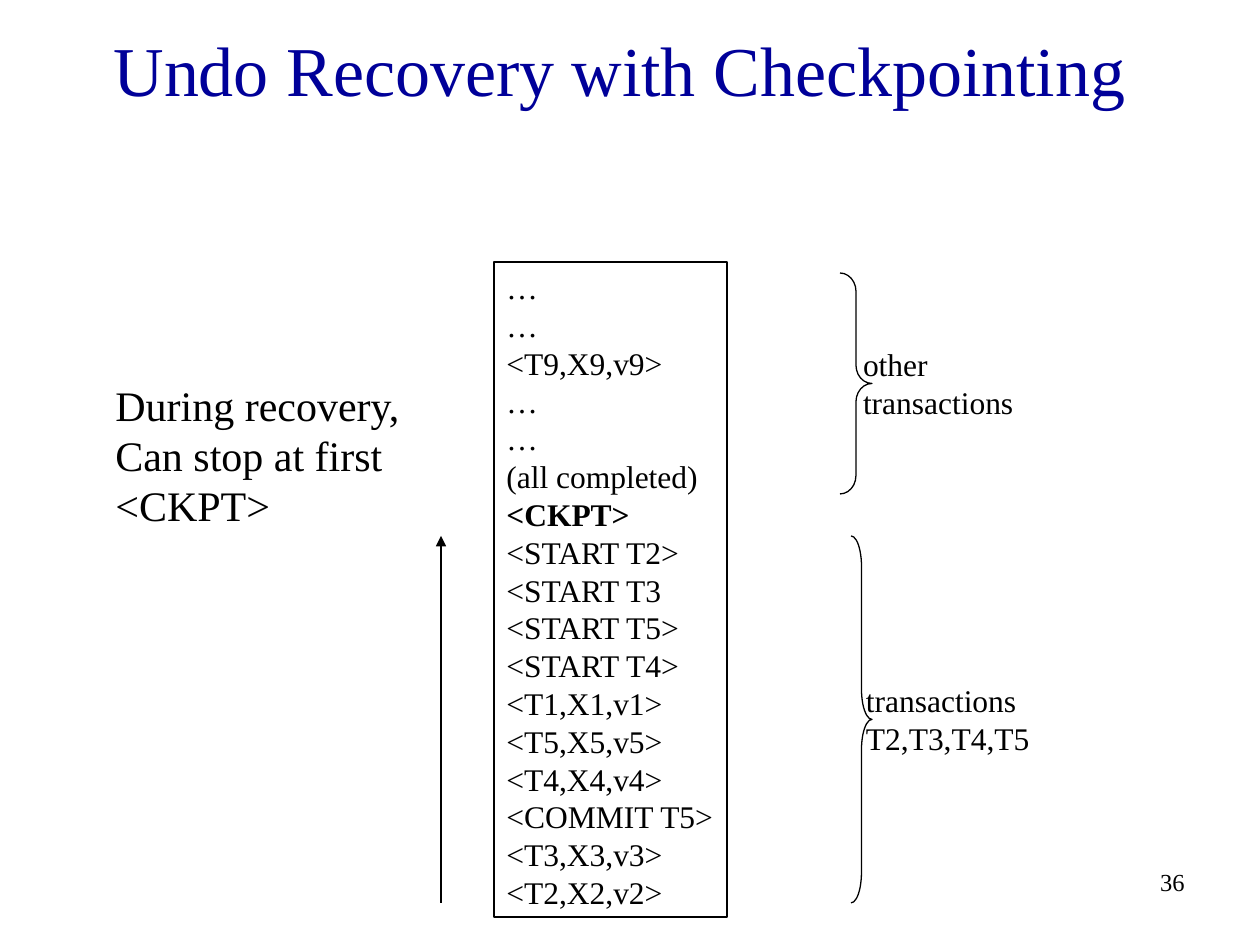
from pptx import Presentation
from pptx.dml.color import RGBColor
from pptx.enum.shapes import MSO_CONNECTOR, MSO_SHAPE
from pptx.enum.text import MSO_ANCHOR, PP_ALIGN
from pptx.oxml.ns import qn
from pptx.util import Emu, Pt
from lxml.etree import SubElement

FONT = "Times New Roman"
BLACK, NAVY = "000000", "000099"
LOG = [
    "…", "…", "<T9,X9,v9>", "…", "…", "(all completed)", "<CKPT>",
    "<START T2>", "<START T3", "<START T5>", "<START T4>",
    "<T1,X1,v1>", "<T5,X5,v5>", "<T4,X4,v4>",
    "<COMMIT T5>", "<T3,X3,v3>", "<T2,X2,v2>",
]


def px(n):
    return Emu(round(n * 914400 / 126))


def rgb(color):
    return RGBColor.from_string(color)


def set_line(sp):
    sp.line.color.rgb = rgb(BLACK)
    sp.line.width = Pt(0.75)


def write(sp, lines, size, color=BLACK, align=PP_ALIGN.LEFT,
          anchor=MSO_ANCHOR.TOP, wrap=False, bold_line=None):
    tf = sp.text_frame
    tf.word_wrap = wrap
    tf.vertical_anchor = anchor
    tf.text = "\n".join(lines)
    for p, line in zip(tf.paragraphs, lines):
        p.alignment = align
        p.font.name = FONT
        p.font.size = Pt(size)
        p.font.color.rgb = rgb(color)
        p.font.bold = line == bold_line


def add_title(slide, text):
    sp = slide.shapes.title
    sp.left, sp.top, sp.width, sp.height = map(px, (21, 21, 1197, 95))
    write(sp, [text], 40, NAVY, PP_ALIGN.CENTER, MSO_ANCHOR.MIDDLE, wrap=True)


def add_text(slide, box, lines, size, **style):
    sp = slide.shapes.add_textbox(*map(px, box))
    write(sp, lines, size, **style)
    return sp


def add_outline(slide, preset, box):
    sp = slide.shapes.add_shape(preset, *map(px, box))
    sp.shadow.inherit = False
    sp.fill.background()
    set_line(sp)
    return sp


def add_arrow(slide, x1, y1, x2, y2):
    line = slide.shapes.add_connector(MSO_CONNECTOR.STRAIGHT, *map(px, (x1, y1, x2, y2)))
    set_line(line)
    SubElement(line.line._get_or_add_ln(), qn("a:tailEnd"), type="triangle")
    SubElement(line._element.spPr, qn("a:effectLst"))


def add_brace(slide, box, label, label_left, label_width):
    left, top, width, height = box
    brace = add_outline(slide, MSO_SHAPE.RIGHT_BRACE, box)
    brace.adjustments[0] = height / 12 / width
    # Label centred on the tip of the brace
    label_height = 48
    label_top = top + (height - label_height) // 2
    sp = add_text(slide, (label_left, label_top, label_width, label_height),
                  [label], 18, anchor=MSO_ANCHOR.MIDDLE)
    sp.text_frame.margin_left = sp.text_frame.margin_right = 0


def main():
    prs = Presentation()
    prs.slide_width, prs.slide_height = px(1260), px(945)
    slide = prs.slides.add_slide(prs.slide_layouts[5])

    # Page number and title
    add_text(slide, (935, 861, 262, 63), ["36"], 14, align=PP_ALIGN.RIGHT, wrap=True)
    add_title(slide, "Undo Recovery with Checkpointing")

    # Log
    log = add_outline(slide, MSO_SHAPE.RECTANGLE, (494, 262, 233, 655))
    write(log, LOG, 18, bold_line="<CKPT>")

    # Recovery note and direction of reading
    add_text(slide, (103, 373, 311, 164),
             ["During recovery,", "Can stop at first", "<CKPT>"], 24)
    add_arrow(slide, 441, 903, 441, 536)

    # Groups of transactions
    add_brace(slide, (851, 536, 21, 367), "transactions T2,T3,T4,T5", 866, 321)
    add_brace(slide, (840, 273, 32, 221), "other transactions", 863, 222)

    prs.save("out.pptx")


if __name__ == "__main__":
    main()
